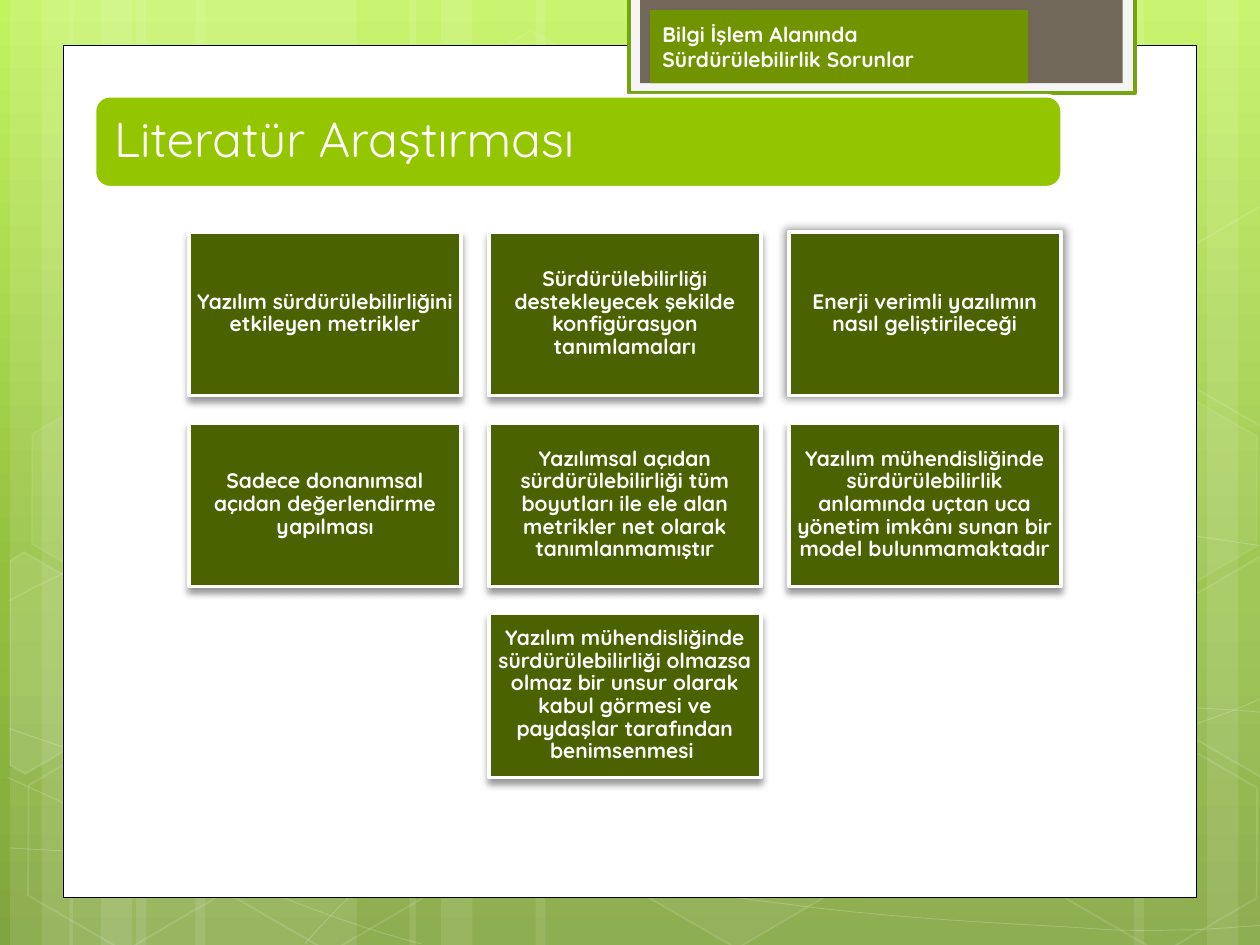
import math
from dataclasses import dataclass

import pptx
import pptx.dml.color
import pptx.enum.shapes
import pptx.enum.text
import pptx.oxml.ns
import pptx.util
from lxml import etree
from pptx.util import Inches

PRESET = pptx.enum.shapes.MSO_SHAPE
ALIGN = pptx.enum.text.PP_ALIGN
qn = pptx.oxml.ns.qn
FONT, WHITE = "Quicksand", "FFFFFF"
TILT = 30


@dataclass
class Style:
    fill: str | None = None
    fill_alpha: int = 100
    line: str | None = None
    line_width: float = 1
    line_alpha: int = 100


@dataclass
class Shadow:
    blur: float
    distance: float
    angle: int
    scale: int = 100


@dataclass
class Curve:
    """Bézier knots in threes after the start; the knot at straight_to ends a straight line."""
    knots: list[tuple[float, float]]
    straight_to: int | None = None


@dataclass
class Hexagon:
    left: float
    top: float
    line_alpha: int
    fill_alpha: int = 0


@dataclass
class Facet:
    """A hexagon cut off by the edge of the page."""
    center: tuple[float, float]
    points: list[tuple[float, float]]
    fill_alpha: int = 0


# left and width of each full-height stripe
STRIPES = [(1.08, 1.75), (0.08, 0.5), (0.33, 0.83), (1.55, 1.75), (0.55, 0.5), (0.8, 0.83),
           (7.33, 1.75), (9.58, 0.5), (9, 0.83), (4.25, 3.08), (3.25, 0.5), (3.5, 0.83)]

CURVES = [
    Curve([(0.07, 6.73), (0.61, 6.76), (1.15, 6.79), (1.9, 6.78), (2.65, 6.77), (3.58, 6.75),
           (4.58, 6.65), (5.58, 6.55), (7, 6.36), (7.92, 6.17), (8.83, 5.98), (9.77, 5.68),
           (10.07, 5.51)]),
    Curve([(0.07, 4.77), (0.36, 4.61), (0.65, 4.46), (1.21, 4.31), (1.78, 4.16), (2.59, 3.94),
           (3.47, 3.87), (4.36, 3.8), (5.44, 3.79), (6.54, 3.87), (7.64, 3.95), (9.47, 4.26),
           (10.07, 4.34)]),
    Curve([(0.06, 6.17), (1.27, 6.72), (2.47, 7.27), (3.34, 7.49)]),
    Curve([(0.07, 5.78), (0.38, 5.89), (0.7, 6), (1.28, 6.16), (1.86, 6.31), (2.73, 6.56),
           (3.57, 6.73), (4.4, 6.9), (5.45, 7.08), (6.28, 7.18), (7.11, 7.29), (8, 7.33),
           (8.53, 7.36), (9.05, 7.4), (9.19, 7.38), (9.45, 7.38), (9.71, 7.37), (9.89, 7.35),
           (10.07, 7.34)]),
    Curve([(2.42, 7.49), (2.6, 7.29), (2.78, 7.09), (3.02, 6.91), (3.26, 6.73), (3.6, 6.53),
           (3.88, 6.39), (4.16, 6.25), (4.33, 6.19), (4.7, 6.09), (5.06, 5.99), (5.73, 5.85),
           (6.08, 5.78), (6.44, 5.71), (6.49, 5.71), (6.8, 5.69), (7.11, 5.66), (7.6, 5.63),
           (7.94, 5.62), (8.29, 5.61), (8.86, 5.62), (8.86, 5.62), (9.53, 5.62), (9.71, 5.63),
           (9.88, 5.64), (9.97, 5.65), (10.06, 5.66), (10.03, 5.65), (10.06, 5.66)], 22),
]

HONEYCOMB = [
    Hexagon(3.34, 0.36, 8, 4), Hexagon(4.97, 5.89, 12, 6),
    Facet((0.36, 5.35), [(0.08, 4.45), (0.19, 4.38), (0.96, 4.82), (0.95, 5.7), (0.2, 6.14),
                         (0.08, 6.07)], 10),
    Hexagon(0.11, 5.91, 12), Hexagon(0.14, 3.12, 8, 7), Hexagon(1.74, 5.92, 12),
    Hexagon(7.53, 4.53, 12, 10), Hexagon(8.34, 5.93, 12), Hexagon(8.34, 3.14, 8, 7),
    Facet((9.85, 5.2), [(9.26, 4.85), (10.01, 4.41), (10.09, 4.46), (10.09, 6.13),
                        (10.02, 6.17), (9.26, 5.73)], 4),
    Facet((9.85, 2.41), [(9.26, 2.07), (10.01, 1.63), (10.1, 1.68), (10.09, 3.35),
                         (10.02, 3.39), (9.26, 2.95)]),
]

CARD_ROWS = [
    ["Yazılım sürdürülebilirliğini etkileyen metrikler",
     "Sürdürülebilirliği destekleyecek şekilde konfigürasyon tanımlamaları",
     "Enerji verimli yazılımın nasıl geliştirileceği"],
    ["Sadece donanımsal açıdan değerlendirme yapılması",
     "Yazılımsal açıdan sürdürülebilirliği tüm boyutları ile ele alan metrikler net olarak "
     "tanımlanmamıştır",
     "Yazılım mühendisliğinde sürdürülebilirlik anlamında uçtan uca yönetim imkânı sunan bir "
     "model bulunmamaktadır"],
    ["Yazılım mühendisliğinde sürdürülebilirliği olmazsa olmaz bir unsur olarak kabul görmesi "
     "ve paydaşlar tarafından benimsenmesi "],
]
CARD_STYLE = Style("4A6300", line=WHITE, line_width=2.08)


def color(value: str):
    return pptx.dml.color.RGBColor.from_string(value)


def apply_style(shape, style: Style):
    shape.shadow.inherit = False
    for part, value in ((shape.fill, style.fill), (shape.line.fill, style.line)):
        if value:
            part.solid()
            part.fore_color.rgb = color(value)
        else:
            part.background()
    if style.line:
        shape.line.width = pptx.util.Pt(style.line_width)
    for steps, alpha in ((["a:solidFill"], style.fill_alpha),
                         (["a:ln", "a:solidFill"], style.line_alpha)):
        tint = shape.element.spPr.find("/".join(qn(step) for step in [*steps, "a:srgbClr"]))
        if tint is not None and alpha < 100:
            etree.SubElement(tint, qn("a:alpha"), val=str(alpha * 1000))


def add_box(page, preset, left: float, top: float, width: float, height: float, style: Style):
    box = page.shapes.add_shape(preset, Inches(left), Inches(top), Inches(width), Inches(height))
    apply_style(box, style)
    return box


def add_outline(page, points, style: Style, close: bool):
    start, *rest = [(Inches(x), Inches(y)) for x, y in points]
    builder = page.shapes.build_freeform(*start, scale=1.0)
    builder.add_line_segments(rest, close=close)
    outline = builder.convert_to_shape()
    apply_style(outline, style)
    return outline


def add_curve(page, curve: Curve, style: Style):
    """Draw the knots as an outline, then join them in threes as Bézier segments."""
    outline = add_outline(page, curve.knots, style, close=False)
    lines = list(outline.element.iter(qn("a:lnTo")))
    index = 0
    while index < len(lines):
        if index + 1 == curve.straight_to:
            index += 1
            continue
        bend = etree.Element(qn("a:cubicBezTo"))
        lines[index].addprevious(bend)
        for line in lines[index:index + 3]:
            bend.append(line[0])
            line.getparent().remove(line)
        index += 3


def add_facet(page, facet: Facet, style: Style):
    """Turn the points back about the center, so that the shape's rotation restores them."""
    cos, sin = math.cos(math.radians(TILT)), math.sin(math.radians(TILT))
    mid_x, mid_y = facet.center
    offsets = [(x - mid_x, y - mid_y) for x, y in facet.points]
    points = [(mid_x + x * cos + y * sin, mid_y - x * sin + y * cos) for x, y in offsets]
    add_outline(page, points, style, close=True).rotation = TILT


def add_shadow(shape, shadow: Shadow):
    effects = shape.element.spPr.find(qn("a:effectLst"))
    scale = str(shadow.scale * 1000)
    outer = etree.SubElement(effects, qn("a:outerShdw"), blurRad=str(pptx.util.Pt(shadow.blur)),
                             dist=str(pptx.util.Pt(shadow.distance)), sx=scale, sy=scale,
                             dir=str(shadow.angle * 60000), algn="ctr", rotWithShape="0")
    tint = etree.SubElement(outer, qn("a:srgbClr"), val="000000")
    etree.SubElement(tint, qn("a:alpha"), val="40000")


def write(box, text: str, size: float, bold: bool, text_color: str = WHITE, align=ALIGN.LEFT,
          spacing: float = 1.0, inset: float = 0.1):
    frame = box.text_frame
    para = frame.paragraphs[0]
    span = para.add_run()
    span.text = text
    frame_format = {"word_wrap": True, "vertical_anchor": pptx.enum.text.MSO_ANCHOR.MIDDLE,
                    "margin_left": Inches(inset), "margin_right": Inches(inset)}
    for target, values in ((frame, frame_format),
                           (span.font, {"name": FONT, "size": pptx.util.Pt(size), "bold": bold}),
                           (para, {"alignment": align, "line_spacing": spacing})):
        for name, value in values.items():
            setattr(target, name, value)
    span.font.color.rgb = color(text_color)


def draw_backdrop(page):
    fill = page.background.fill
    fill.gradient()
    fill.gradient_angle = 270
    stops = page.element.find(".//" + qn("a:gsLst"))
    stops[:] = []
    for position, value in ((0, "C3F35F"), (62, "93BF3F"), (100, "81A53E")):
        stop = etree.SubElement(stops, qn("a:gs"), pos=str(position * 1000))
        etree.SubElement(stop, qn("a:srgbClr"), val=value)
    for left, width in STRIPES:
        add_box(page, PRESET.RECTANGLE, left, 0, width, 7.5, Style(WHITE, 10))
    for curve in CURVES:
        add_curve(page, curve, Style(None, 100, WHITE, 0.5, 20))
    for cell in HONEYCOMB:
        style = Style(WHITE if cell.fill_alpha else None, cell.fill_alpha, WHITE, 1,
                      getattr(cell, "line_alpha", 12))
        if isinstance(cell, Facet):
            add_facet(page, cell, style)
        else:
            hexagon = add_box(page, PRESET.HEXAGON, cell.left, cell.top, 1.75, 1.52, style)
            hexagon.rotation = TILT
            hexagon.adjustments[0] = 0.285
    for *place, style in ((0.5, 0.36, 9, 6.76, Style(WHITE, line="000000", line_width=0.5)),
                          (4.99, -0.02, 4.02, 0.76, Style("F5F5F5", 100, "74A510", 2.08)),
                          (5.08, -0.02, 3.83, 0.68, Style("71685A"))):
        add_box(page, PRESET.RECTANGLE, *place, style)


def draw_cards(page):
    for row, texts in enumerate(CARD_ROWS):
        for column, text in enumerate(texts, start=(3 - len(texts)) // 2):
            card = add_box(page, PRESET.RECTANGLE, 1.5 + column * 2.38, 1.84 + row * 3.03 / 2,
                           2.16, 1.3, CARD_STYLE)
            glows = (row, column) == (0, 2)
            add_shadow(card, Shadow(5, 0, 0, 102) if glows else Shadow(4, 3, 90))
            write(card, text, 12, True, align=ALIGN.CENTER, spacing=0.9, inset=0.05)


def main():
    deck = pptx.Presentation()
    deck.slide_width, deck.slide_height = Inches(10), Inches(7.5)
    page = deck.slides.add_slide(deck.slide_layouts[6])
    draw_backdrop(page)
    title = add_box(page, PRESET.ROUNDED_RECTANGLE, 0.75, 0.76, 7.68, 0.73,
                    Style("94C600", line=WHITE, line_width=2.08))
    write(title, "Literatür Araştırması", 28, False, spacing=0.9, inset=0.12)
    draw_cards(page)
    topic = add_box(page, PRESET.RECTANGLE, 5.16, 0.08, 3, 0.58, Style("6F9400"))
    write(topic, "Bilgi İşlem Alanında Sürdürülebilirlik Sorunlar", 12, True, "FEFEFE")
    deck.save("out.pptx")


if __name__ == "__main__":
    main()
